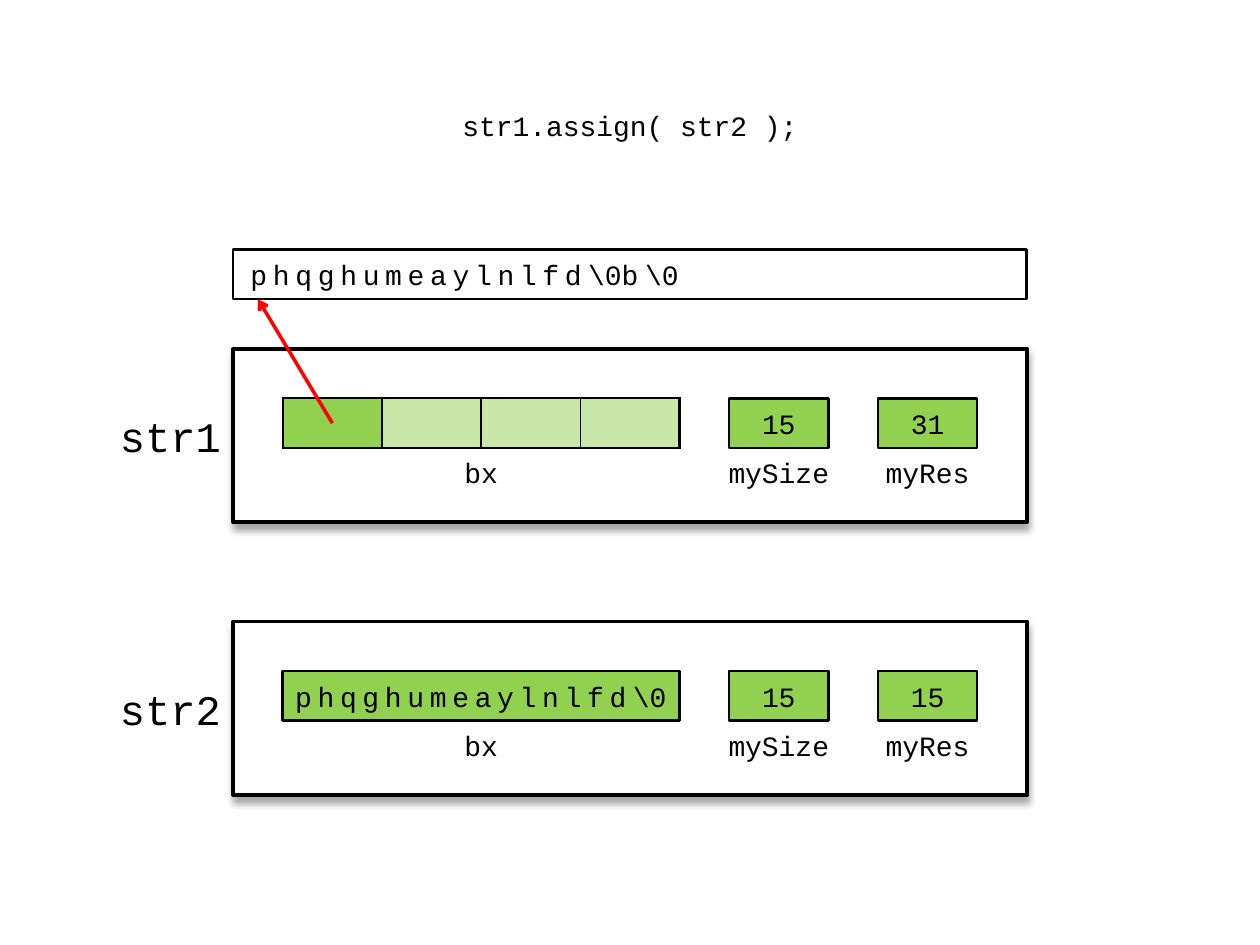
"""Build a slide showing the memory layout of two strings after str1.assign( str2 )."""
from lxml import etree
from pptx import Presentation
from pptx.dml.color import RGBColor
from pptx.enum.shapes import MSO_CONNECTOR, MSO_SHAPE
from pptx.enum.text import MSO_ANCHOR, MSO_AUTO_SIZE, PP_ALIGN
from pptx.oxml.ns import qn
from pptx.util import Cm, Pt

RECT, PROCESS = MSO_SHAPE.RECTANGLE, MSO_SHAPE.FLOWCHART_PROCESS
LEFT, CENTER, RIGHT = PP_ALIGN.LEFT, PP_ALIGN.CENTER, PP_ALIGN.RIGHT
MIDDLE, NO_FIT = MSO_ANCHOR.MIDDLE, MSO_AUTO_SIZE.NONE
STRAIGHT = MSO_CONNECTOR.STRAIGHT

COLORS = {"ink": "000000", "paper": "FFFFFF", "used": "92D050", "arrow": "FF0000"}
FONT = "Courier New"
LETTERS = [("phqghumeaylnlfd", 330), ("\\", -150), ("0", 0)]
TAIL = [("b", 380), ("\\", -150), ("0", 0)]
BOX_X, BUFFER_X, SIZE_X, RES_X = 4.7, 5.7, 14.7, 17.7
BOX_W, BUFFER_W, CELL_W, ROW_H = 16, 8, 2, 1


def rgb(name):
    return RGBColor.from_string(COLORS[name])


class Diagram:
    """Holds the style and the slide being drawn."""

    def __init__(self, slide):
        self.s = slide

    def put_text(self, sp, runs, align=CENTER, size=16, left=0.25, right=0.25):
        tf = sp.text_frame
        tf.word_wrap, tf.auto_size, tf.vertical_anchor = True, NO_FIT, MIDDLE
        tf.margin_left, tf.margin_right = Cm(left), Cm(right)
        p = tf.paragraphs[0]
        p.alignment, p.space_before = align, Pt(0)
        p.font.name, p.font.size = FONT, Pt(size)
        p.font.color.rgb = rgb("ink")
        for text, spacing in runs:
            r = p.add_run()
            r.text = text
            if spacing:
                r._r.get_or_add_rPr().set("spc", str(spacing))

    def heading(self, text):
        title, body = self.s.placeholders
        title.element.getparent().remove(title.element)
        body.left, body.top, body.width, body.height = Cm(8.7), Cm(2.03), Cm(8), Cm(1)
        self.put_text(body, [(text, 0)])

    def shape(self, kind, x, y, w, h, fill=None, line=1.5):
        sp = self.s.shapes.add_shape(kind, Cm(x), Cm(y), Cm(w), Cm(h))
        sp.shadow.inherit = False
        if fill:
            sp.fill.solid()
            sp.fill.fore_color.rgb = rgb(fill)
            sp.line.color.rgb = rgb("ink")
            sp.line.width = Pt(line)
        else:
            sp.fill.background()
            sp.line.fill.background()
        return sp

    def name(self, text, y):
        sp = self.s.shapes.add_textbox(Cm(2.2), Cm(y), Cm(2.5), Cm(1.5))
        self.put_text(sp, [(text, 0)], RIGHT, 24, left=0.1)

    def frame(self, y):
        sp = self.shape(PROCESS, BOX_X, y, BOX_W, 3.5, "paper", 2.25)
        effects = sp._element.spPr.find(qn("a:effectLst"))
        shadow = etree.SubElement(effects, qn("a:outerShdw"), blurRad=str(Pt(4)),
                                  dist=str(Pt(3)), dir="5400000", rotWithShape="0")
        color = etree.SubElement(shadow, qn("a:srgbClr"), val=COLORS["ink"])
        etree.SubElement(color, qn("a:alpha"), val="35000")

    def label(self, text, x, y, w):
        self.put_text(self.shape(PROCESS, x, y, w, ROW_H), [(text, 0)])

    def number(self, text, x, y):
        self.put_text(self.shape(RECT, x, y, CELL_W, ROW_H, "used"), [(text, 0)])

    def buffer(self, runs, x, y, w, fill, left):
        sp = self.shape(RECT, x, y, w, ROW_H, fill)
        self.put_text(sp, runs, LEFT, left=left, right=0)

    def border(self, cell, sides):
        tcPr = cell._tc.get_or_add_tcPr()
        for i, (side, width) in enumerate(sides.items()):
            ln = etree.Element(qn(f"a:ln{side}"), w=str(Pt(width)))
            fill = etree.SubElement(ln, qn("a:solidFill"))
            etree.SubElement(fill, qn("a:srgbClr"), val=COLORS["ink"])
            tcPr.insert(i, ln)

    def pointer_table(self, x, y, count):
        frame = self.s.shapes.add_table(1, count, Cm(x), Cm(y), Cm(BUFFER_W), Cm(ROW_H))
        table = frame.table
        table.first_row = table.horz_banding = False
        for i, cell in enumerate(table.iter_cells()):
            cell.margin_top = cell.margin_bottom = 0
            cell.fill.solid()
            cell.fill.fore_color.rgb = rgb("used")
            if i:
                color = cell._tc.tcPr.find(".//" + qn("a:srgbClr"))
                etree.SubElement(color, qn("a:alpha"), val="50000")
            self.border(cell, {"L": 1 if i else 1.5, "R": 1.5 if i == count - 1 else 1,
                               "T": 1.5, "B": 1.5})

    def arrow(self, x1, y1, x2, y2):
        c = self.s.shapes.add_connector(STRAIGHT, Cm(x1), Cm(y1), Cm(x2), Cm(y2))
        c.line.color.rgb = rgb("arrow")
        c.line.width = Pt(2)
        spPr = c._element.spPr
        etree.SubElement(spPr.find(qn("a:ln")), qn("a:tailEnd"), type="arrow")
        etree.SubElement(spPr, qn("a:effectLst"))

    def string_object(self, name, y, size, reserve):
        row, caption = y + 1, y + 2
        self.name(name, row)
        self.frame(y)
        self.label("bx", 8.7, caption, CELL_W)
        for text, value, x in (("mySize", size, SIZE_X), ("myRes", reserve, RES_X)):
            self.number(value, x, row)
            self.label(text, x - 0.5, caption, 3)


def main():
    prs = Presentation()
    prs.slide_width, prs.slide_height = Cm(25.4), Cm(19.05)
    d = Diagram(prs.slides.add_slide(prs.slide_layouts[2]))
    d.heading("str1.assign( str2 );")
    d.string_object("str2", 12.53, "15", "15")
    d.buffer(LETTERS, BUFFER_X, 13.53, BUFFER_W, "used", 0.25)
    d.string_object("str1", 7.03, "15", "31")
    d.pointer_table(BUFFER_X, 8.03, 4)
    d.buffer(LETTERS + TAIL, BOX_X, 5.03, BOX_W, "paper", 0.35)
    d.arrow(6.7, 8.53, 5.2, 6.03)
    prs.save("out.pptx")


if __name__ == "__main__":
    main()
